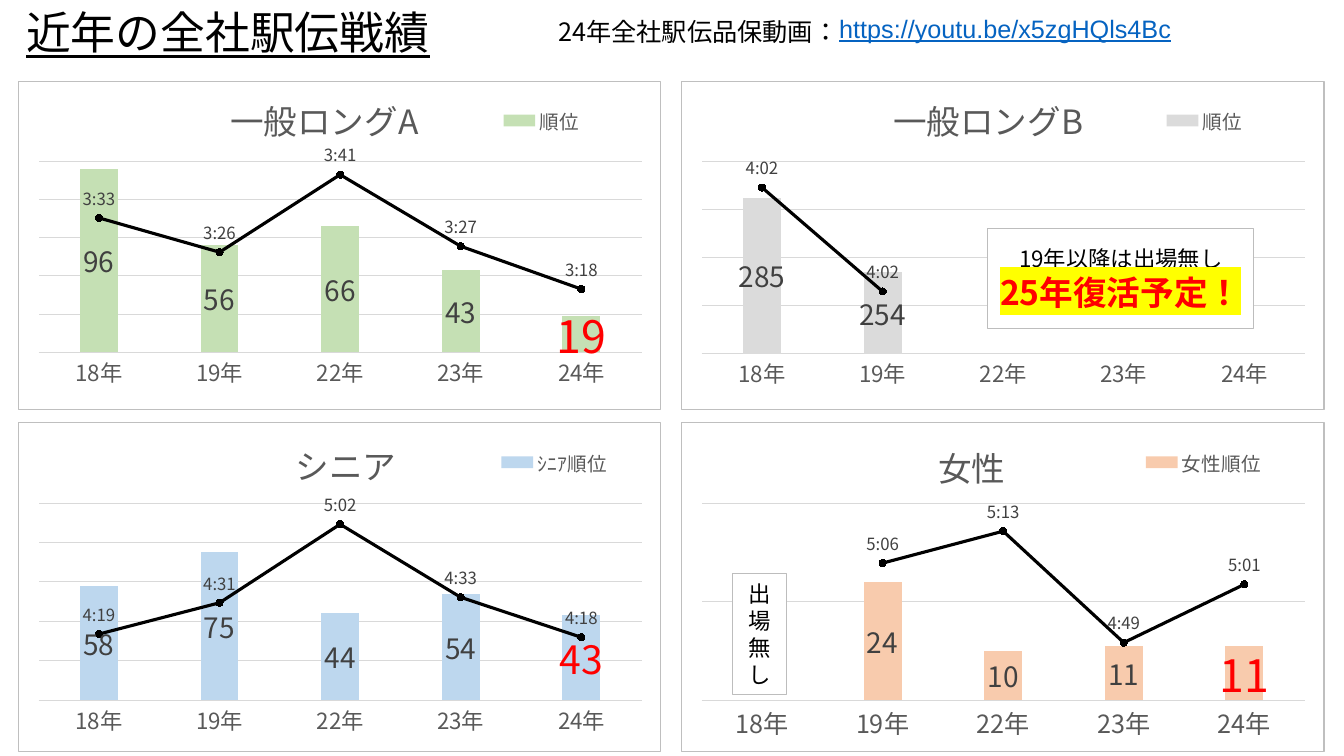
from dataclasses import dataclass

from pptx import Presentation
from pptx.chart.data import CategoryChartData
from pptx.dml.color import RGBColor
from pptx.enum.chart import (XL_CHART_TYPE, XL_LABEL_POSITION, XL_LEGEND_POSITION,
                             XL_MARKER_STYLE, XL_TICK_LABEL_POSITION, XL_TICK_MARK)
from pptx.enum.lang import MSO_LANGUAGE_ID
from pptx.enum.shapes import MSO_SHAPE
from pptx.enum.text import MSO_ANCHOR, PP_ALIGN
from pptx.oxml import parse_xml
from pptx.oxml.ns import nsdecls, qn
from pptx.util import Cm, Pt


@dataclass(frozen=True)
class Theme:
    font: str = "Noto Sans CJK JP"
    link_font: str = "Arial"
    black: str = "000000"
    white: str = "FFFFFF"
    red: str = "FF0000"
    yellow: str = "FFFF00"
    link: str = "0563C1"
    axis_text: str = "595959"
    label_text: str = "404040"
    grid: str = "D9D9D9"
    chart_border: str = "BFBFBF"
    note_border: str = "BDBDBD"
    heading: int = 32
    chart_title: int = 24
    body: int = 18
    note: int = 16
    legend: int = 14
    rank: int = 20
    pace: int = 12


THEME = Theme()
NS = nsdecls("c", "a")


def write(paragraph, text, size, color=THEME.black, font=THEME.font, bold=False,
          underline=False, highlight=None, align=None):
    run = paragraph.add_run()
    run.text = text
    run.font.size, run.font.name = Pt(size), font
    run.font.bold, run.font.underline = bold, underline
    run.font.color.rgb = RGBColor.from_string(color)
    run.font.language_id = MSO_LANGUAGE_ID.JAPANESE
    paragraph.alignment = align
    if highlight:
        run.font.fill._xPr.find(qn("a:solidFill")).addnext(parse_xml(
            f'<a:highlight {NS}><a:srgbClr val="{highlight}"/></a:highlight>'))


def place(part, inner=False, **fractions):
    """Give a chart part a manual layout in fractions of the chart."""
    for old in part.findall(qn("c:layout")):
        part.remove(old)
    target = '<c:layoutTarget val="inner"/>' if inner else ""
    modes = '<c:xMode val="edge"/><c:yMode val="edge"/>'
    sizes = "".join(f'<c:{key} val="{value}"/>' for key, value in fractions.items())
    layout = parse_xml(f"<c:layout {NS}><c:manualLayout>{target}{modes}{sizes}"
                       "</c:manualLayout></c:layout>")
    overlay = part.find(qn("c:overlay"))
    if overlay is None:
        part.insert(0, layout)
    else:
        overlay.addprevious(layout)


prs = Presentation()
prs.slide_width, prs.slide_height = Cm(33.87), Cm(19.05)
slide = prs.slides.add_slide(prs.slide_layouts[6])
roots = [slide.element]

# Four divisions: rank columns with the pace line on a second axis
YEARS = ["18年", "19年", "22年", "23年", "24年"]
divisions = [
    dict(title="一般ロングA", title_at=(0.32, 0.014), legend_x=0.714, plot_h=0.58,
         rank_name="順位", ranks=[96, 56, 66, 43, 19], color="C5E0B4", rank_axis=(0, 100),
         pace_name="Aﾍﾟｰｽ/km", paces=[0.002467, 0.002386, 0.002569, 0.0024, 0.002299],
         pace_axis=(0.00215, 0.0026), year_size=16, latest_size=32),
    dict(title="一般ロングB", title_at=(0.32, 0.014), legend_x=0.714, plot_h=0.585,
         rank_name="順位", ranks=[285, 254, None, None, None], color="DBDBDB",
         rank_axis=(220, 300), pace_name="Bﾍﾟｰｽ/km",
         paces=[0.002812, 0.002808, None, None, None],
         pace_axis=(0.0028056, 0.002813), year_size=16, latest_size=None),
    dict(title="シニア", title_at=(0.422, 0.025), legend_x=0.734, plot_h=0.599,
         rank_name="ｼﾆｱ順位", ranks=[58, 75, 44, 54, 43], color="BDD7EE", rank_axis=(0, 100),
         pace_name="シﾍﾟｰｽ/km", paces=[0.003002, 0.003145, 0.003504, 0.00317, 0.002987],
         pace_axis=(0.0027, 0.0036), year_size=16, latest_size=28),
    dict(title="女性", title_at=(0.39, 0.03), legend_x=0.713, plot_h=0.599,
         rank_name="女性順位", ranks=[None, 24, 10, 11, 11], color="F8CBAD", rank_axis=(0, 40),
         pace_name="女ﾍﾟｰｽ/km", paces=[None, 0.003548, 0.003629, 0.003346, 0.003494],
         pace_axis=(0.0032, 0.0037), year_size=18, latest_size=32),
]
for index, division in enumerate(divisions):
    row, column = divmod(index, 2)
    data = CategoryChartData()
    data.categories = YEARS
    data.add_series(division["rank_name"], division["ranks"])
    data.add_series(division["pace_name"], division["paces"], "m:ss")
    chart = slide.shapes.add_chart(
        XL_CHART_TYPE.COLUMN_CLUSTERED, Cm(0.46 + 16.71 * column), Cm(2.03 + 8.61 * row),
        Cm(16.21), Cm(8.31), data).chart
    roots.append(chart.element)
    chart.element.find(qn("c:chart")).addnext(parse_xml(
        f'<c:spPr {NS}><a:solidFill><a:srgbClr val="{THEME.white}"/></a:solidFill>'
        f'<a:ln w="9525"><a:solidFill><a:srgbClr val="{THEME.chart_border}"/></a:solidFill>'
        '</a:ln></c:spPr>'))

    # Year and rank axes, set while they are the only ones
    years, ranks = chart.category_axis, chart.value_axis
    years.major_tick_mark = ranks.major_tick_mark = XL_TICK_MARK.NONE
    ranks.tick_label_position = XL_TICK_LABEL_POSITION.NONE
    ranks.minimum_scale, ranks.maximum_scale = division["rank_axis"]
    ranks.major_unit = 20
    ranks.format.line.fill.background()
    for line in (years.format.line, ranks.major_gridlines.format.line):
        line.color.rgb = RGBColor.from_string(THEME.grid)
        line.width = Pt(0.75)

    # Move the pace series to a line plot on the right axis
    plot_area = chart.element.xpath("c:chart/c:plotArea")[0]
    bars = plot_area.find(qn("c:barChart"))
    pace_ser = bars.findall(qn("c:ser"))[1]
    for invert in pace_ser.findall(qn("c:invertIfNegative")):
        pace_ser.remove(invert)
    line_plot = parse_xml(
        f'<c:lineChart {NS}><c:grouping val="standard"/><c:varyColors val="0"/>'
        '<c:marker val="1"/><c:axId val="5001"/><c:axId val="5002"/></c:lineChart>')
    line_plot.insert(2, pace_ser)
    bars.addnext(line_plot)
    low, high = division["pace_axis"]
    pace_axis = parse_xml(
        f'<c:valAx {NS}><c:axId val="5002"/><c:scaling><c:orientation val="minMax"/>'
        f'<c:max val="{high:.7f}"/><c:min val="{low:.7f}"/></c:scaling><c:delete val="0"/>'
        '<c:axPos val="r"/><c:numFmt formatCode="m:ss" sourceLinked="0"/>'
        '<c:majorTickMark val="out"/><c:minorTickMark val="none"/><c:tickLblPos val="none"/>'
        '<c:spPr><a:ln><a:noFill/></a:ln></c:spPr><c:crossAx val="5001"/>'
        '<c:crosses val="max"/></c:valAx>')
    hidden_years = parse_xml(
        f'<c:catAx {NS}><c:axId val="5001"/><c:scaling><c:orientation val="minMax"/></c:scaling>'
        '<c:delete val="1"/><c:axPos val="b"/><c:majorTickMark val="none"/>'
        '<c:minorTickMark val="none"/><c:tickLblPos val="nextTo"/><c:crossAx val="5002"/>'
        '<c:crosses val="autoZero"/></c:catAx>')
    plot_area.find(qn("c:valAx")).addnext(pace_axis)
    pace_axis.addnext(hidden_years)
    place(plot_area, inner=True, x=0.031, y=0.245, w=0.939, h=division["plot_h"])

    # Title and legend
    chart.has_title = True
    write(chart.chart_title.text_frame.paragraphs[0], division["title"],
          THEME.chart_title, THEME.axis_text)
    title_x, title_y = division["title_at"]
    place(chart.element.xpath("c:chart/c:title")[0], x=title_x, y=title_y)
    chart.has_legend = True
    chart.legend.position = XL_LEGEND_POSITION.BOTTOM
    chart.legend.include_in_layout = False
    legend = chart.element.xpath("c:chart/c:legend")[0]
    legend.find(qn("c:legendPos")).addnext(parse_xml(
        f'<c:legendEntry {NS}><c:idx val="1"/><c:delete val="1"/></c:legendEntry>'))
    place(legend, x=division["legend_x"], y=0.07, w=0.2, h=0.1)

    # Columns, pace line and their labels
    rank_plot, pace_plot = chart.plots
    rank_plot.gap_width = 219
    rank_plot.vary_by_categories = False
    rank, pace = rank_plot.series[0], pace_plot.series[0]
    rank.format.fill.solid()
    rank.format.fill.fore_color.rgb = RGBColor.from_string(division["color"])
    pace.smooth = False
    pace.format.line.width = Pt(2.25)
    pace.marker.style, pace.marker.size = XL_MARKER_STYLE.CIRCLE, 5
    pace.marker.format.fill.solid()
    for paint in (pace.format.line.color, pace.marker.format.fill.fore_color,
                  pace.marker.format.line.color):
        paint.rgb = RGBColor.from_string(THEME.black)
    rank.data_labels.show_value = pace.data_labels.show_value = True
    rank.data_labels.position = XL_LABEL_POSITION.CENTER
    pace.data_labels.position = XL_LABEL_POSITION.ABOVE
    pace.data_labels.number_format = "m:ss"
    pace.data_labels.number_format_is_linked = False

    fonts = [(chart.font, 11, THEME.black),
             (chart.legend.font, THEME.legend, THEME.axis_text),
             (years.tick_labels.font, division["year_size"], THEME.axis_text),
             (rank.data_labels.font, THEME.rank, THEME.label_text),
             (pace.data_labels.font, THEME.pace, THEME.label_text)]
    if division["latest_size"]:
        latest = rank.points[4].data_label
        fonts.append((latest.font, division["latest_size"], THEME.red))
        latest.position = XL_LABEL_POSITION.CENTER
    for font, size, color in fonts:
        font.name, font.size, font.bold = THEME.font, Pt(size), False
        font.color.rgb = RGBColor.from_string(color)

# Notes about missing entries
notes = [
    ((24.89, 5.77, 6.71, 2.51),
     [("19年以降は出場無し", dict(size=THEME.note)),
      ("25年復活予定！", dict(size=24, color=THEME.red, bold=True, highlight=THEME.yellow))]),
    ((18.47, 14.45, 1.35, 3.05), [("出場無し", dict(size=THEME.note))]),
]
for box, lines in notes:
    note = slide.shapes.add_shape(MSO_SHAPE.RECTANGLE, *map(Cm, box))
    note.shadow.inherit = False
    note.fill.solid()
    note.fill.fore_color.rgb = RGBColor.from_string(THEME.white)
    note.line.color.rgb = RGBColor.from_string(THEME.note_border)
    note.line.width = Pt(0.75)
    frame = note.text_frame
    frame.word_wrap, frame.vertical_anchor = True, MSO_ANCHOR.MIDDLE
    for number, (text, style) in enumerate(lines):
        paragraph = frame.add_paragraph() if number else frame.paragraphs[0]
        write(paragraph, text, align=PP_ALIGN.CENTER, **style)
        paragraph._p.get_or_add_pPr().set("hangingPunct", "0")

# Heading, video address and its caption
headers = [
    ((0.41, 0, 15.54, 1.63), "近年の全社駅伝戦績", dict(size=THEME.heading, underline=True)),
    ((20.9, 0.2, 10.69, 1.02), "https://youtu.be/x5zgHQls4Bc",
     dict(size=THEME.body, color=THEME.link, font=THEME.link_font, underline=True)),
    ((13.82, 0.28, 8.2, 1.02), "24年全社駅伝品保動画：", dict(size=THEME.body)),
]
for box, text, style in headers:
    frame = slide.shapes.add_textbox(*map(Cm, box)).text_frame
    frame.word_wrap = True
    write(frame.paragraphs[0], text, **style)

# Use the same typeface for Japanese characters
for root in roots:
    for latin in list(root.iter(qn("a:latin"))):
        latin.addnext(parse_xml(f'<a:ea {NS} typeface="{latin.get("typeface")}"/>'))

prs.save("out.pptx")
